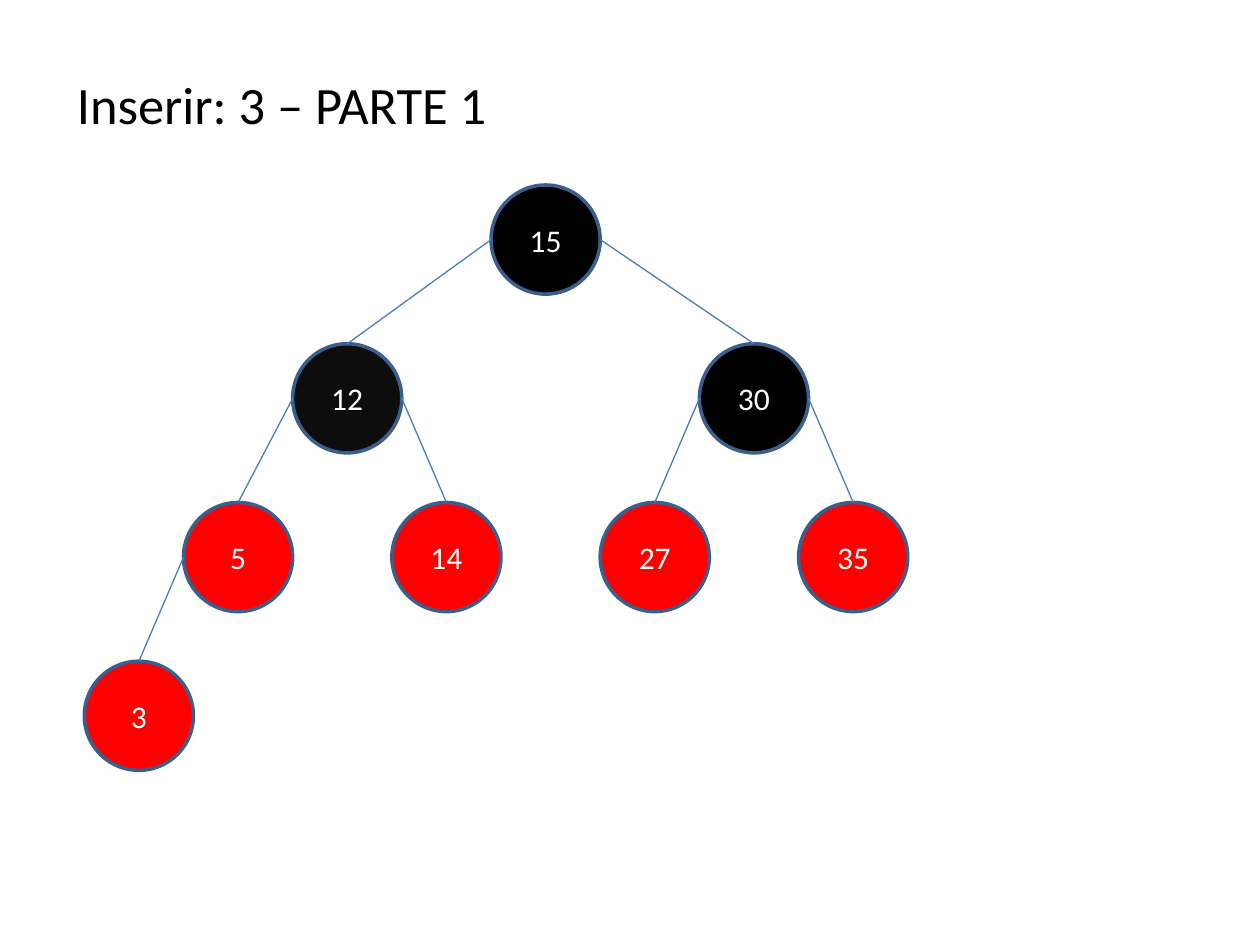
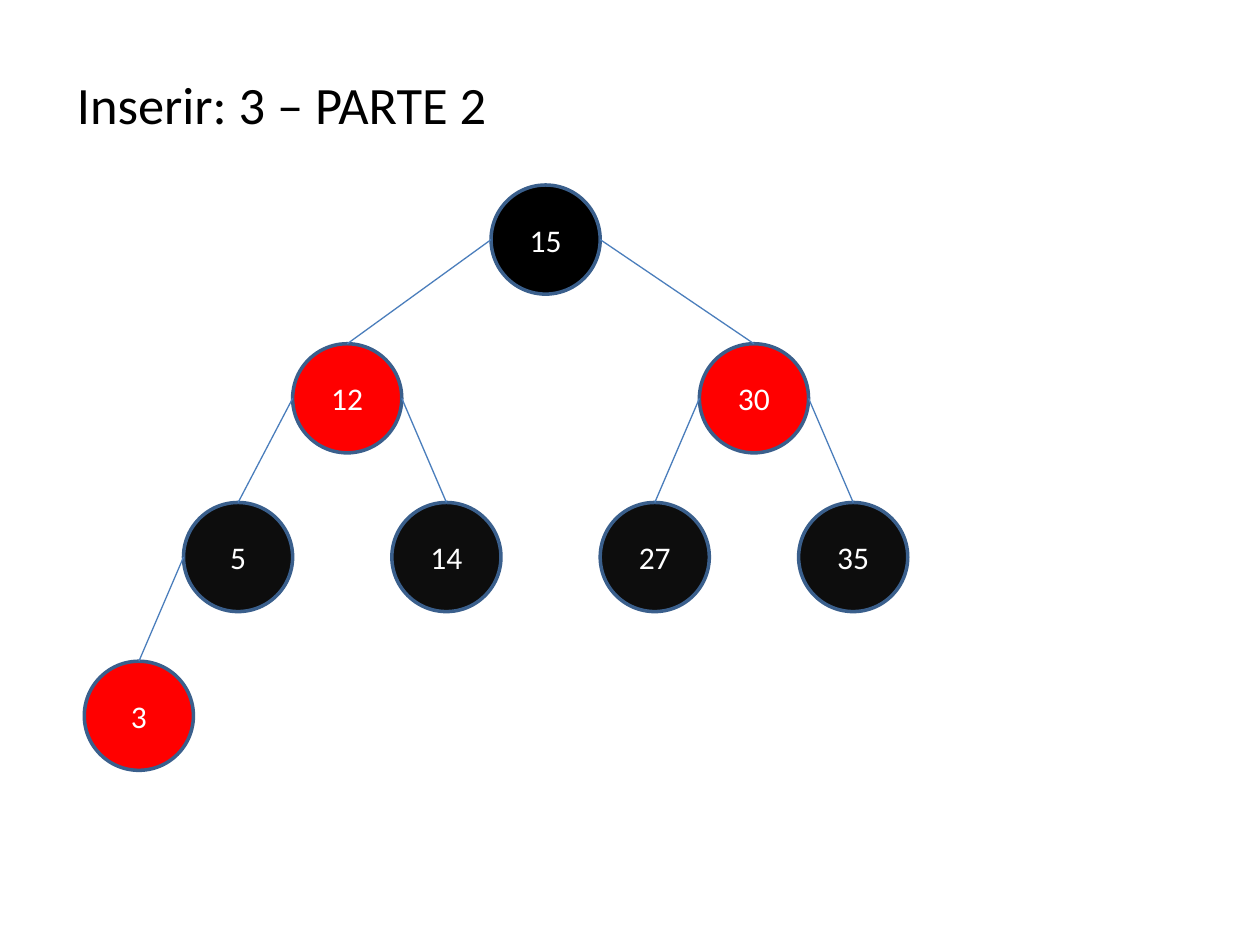
"""Build two slides that show the recolouring of a red-black tree when 3 is inserted."""
from dataclasses import dataclass

from pptx import Presentation
from pptx import util as u
from pptx.dml.color import RGBColor
from pptx.enum import shapes, text
from pptx.oxml.ns import qn
from lxml import etree


@dataclass(frozen=True)
class Theme:
    font: str = "Calibri"
    title_size: int = 30
    node_size: int = 18
    ink: str = "000000"
    node_text: str = "FFFFFF"
    outline: str = "3A5F8C"
    branch: str = "4B7EBC"
    black: str = "000000"
    soft_black: str = "0D0D0D"
    red: str = "FF0000"
    outline_width: float = 2
    branch_width: float = 0.75


THEME = Theme()
DIAMETER = 2.2
FIRST_TOP = 3.73
LEVEL_STEP = 3.2

# key: (left, level, parent)
TREE = {
    15: (9.9, 0, None),
    30: (14.1, 1, 15),
    12: (5.9, 1, 15),
    14: (7.9, 2, 12),
    35: (16.1, 2, 30),
    27: (12.1, 2, 30),
    5: (3.7, 2, 12),
    3: (1.7, 3, 5),
}
LEAVES = (5, 14, 27, 35)

STEPS = {
    "Inserir: 3 – PARTE 1": {
        15: THEME.black, 30: THEME.black, 12: THEME.soft_black,
        **dict.fromkeys(LEAVES, THEME.red), 3: THEME.red,
    },
    "Inserir: 3 – PARTE 2": {
        15: THEME.black, 30: THEME.red, 12: THEME.red,
        **dict.fromkeys(LEAVES, THEME.soft_black), 3: THEME.red,
    },
}


def apply_format(target, values):
    for name, value in values.items():
        setattr(target, name, value)


def write(box, content, size, color, alignment, anchor):
    apply_format(box.text_frame, {"word_wrap": True, "vertical_anchor": anchor})
    para = box.text_frame.paragraphs[0]
    para.alignment = alignment
    span = para.add_run()
    span.text = content
    apply_format(span.font, {"name": THEME.font, "size": u.Pt(size)})
    span.font.color.rgb = RGBColor.from_string(color)


def set_line(line, color, width):
    line.color.rgb = RGBColor.from_string(color)
    line.width = u.Pt(width)


def add_title(page, content):
    box = page.shapes.add_textbox(u.Cm(1.3), u.Cm(1.32), u.Cm(15.2), u.Cm(2))
    write(box, content, THEME.title_size, THEME.ink,
          text.PP_ALIGN.JUSTIFY, text.MSO_ANCHOR.TOP)


def add_node(page, key, left, level, fill):
    top = FIRST_TOP + level * LEVEL_STEP
    node = page.shapes.add_shape(shapes.MSO_SHAPE.OVAL, u.Cm(left), u.Cm(top),
                                 u.Cm(DIAMETER), u.Cm(DIAMETER))
    node.shadow.inherit = False
    node.fill.solid()
    node.fill.fore_color.rgb = RGBColor.from_string(fill)
    set_line(node.line, THEME.outline, THEME.outline_width)
    write(node, str(key), THEME.node_size, THEME.node_text,
          text.PP_ALIGN.CENTER, text.MSO_ANCHOR.MIDDLE)
    return node


def add_branch(page, parent, child):
    start_x = parent.left if child.left < parent.left else parent.left + parent.width
    branch = page.shapes.add_connector(
        shapes.MSO_CONNECTOR.STRAIGHT, start_x, parent.top + parent.height // 2,
        child.left + child.width // 2, child.top)
    branch.end_connect(child, 0)
    set_line(branch.line, THEME.branch, THEME.branch_width)
    etree.SubElement(branch.element.spPr, qn("a:effectLst"))


def add_tree(page, fills):
    nodes = {}
    for key, (left, level, parent) in TREE.items():
        nodes[key] = add_node(page, key, left, level, fills[key])
        if parent is not None:
            add_branch(page, nodes[parent], nodes[key])


def main():
    deck = Presentation()
    apply_format(deck, {"slide_width": u.Cm(25.4), "slide_height": u.Cm(19.05)})
    for title, fills in STEPS.items():
        page = deck.slides.add_slide(deck.slide_layouts[6])
        add_title(page, title)
        add_tree(page, fills)
    deck.save("out.pptx")


if __name__ == "__main__":
    main()
